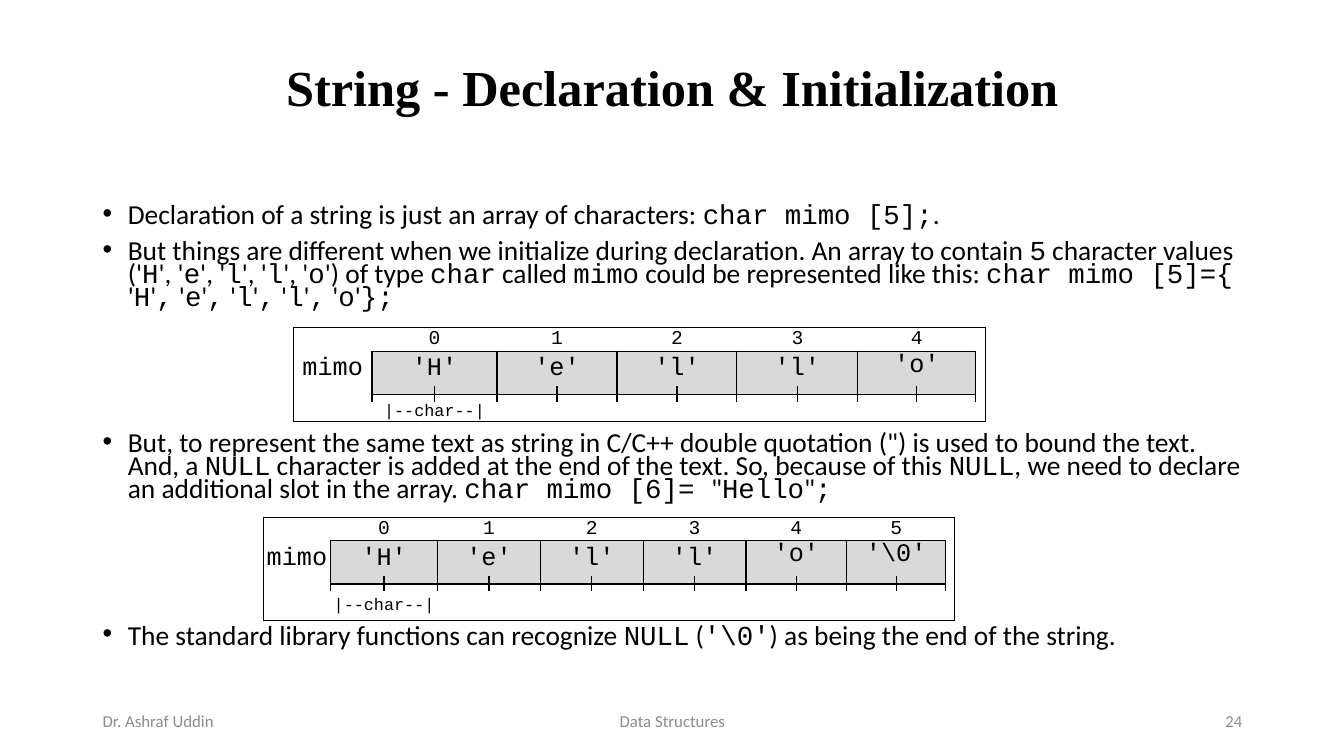
from lxml.etree import SubElement
from pptx import Presentation
from pptx.dml.color import RGBColor
from pptx.enum.text import MSO_ANCHOR, PP_ALIGN
from pptx.oxml import parse_xml
from pptx.oxml.ns import nsdecls, qn
from pptx.util import Inches, Pt

# Content: backticks enclose code
TITLE = "String - Declaration & Initialization"
BULLETS = [
    "Declaration of a string is just an array of characters: `char mimo [5];`.",
    "But things are different when we initialize during declaration. An array to contain `5` "
    "character values ('`H`', '`e`', '`l`', '`l`', '`o`') of type\u00a0`char`\u00a0called\u00a0"
    "`mimo`\u00a0could be represented like this: `char mimo [5]={ `'`H`'`,` '`e`'`,` '`l`'`,` "
    "'`l`'`,` '`o`'`};`",
    'But, to represent the same text as string in C/C++ double quotation (") is used to bound '
    "the text. And, a `NULL` character is added at the end of the text. So, because of this "
    '`NULL`, we need to declare an additional slot in the array. `char mimo [6]= `"`Hello`"`;`',
    "The standard library functions can recognize `NULL` (`'\\0'`) as being the end of the string.",
]
ARRAYS = [
    dict(at=(2.91, 3.25), chars=["H", "e", "l", "l", "o"], label=0.78, end=0.1,
         slots=[1.24, 1.19, 1.19, 1.2, 1.17], rows=[0.22, 0.35, 0.08, 0.07, 0.2]),
    dict(at=(2.61, 5.13), chars=["H", "e", "l", "l", "o", "\\0"], label=0.67, end=0.09,
         slots=[1.06, 1.02, 1.02, 1.02, 1.0, 0.98], rows=[0.22, 0.35, 0.08, 0.07, 0.29]),
]
FOOTER = [
    ("Dr. Ashraf Uddin", 0.92, 3, PP_ALIGN.LEFT),
    ("Data Structures", 4.42, 4.5, PP_ALIGN.CENTER),
    ("24", 9.42, 3, PP_ALIGN.RIGHT),
]
THEME = dict(
    ink="000000", slot="D9D9D9", muted="8C8C8C",
    title_font="Times New Roman", body_font="Calibri", code_font="Courier New",
    title=36, body=19.6, index=14, value=18, unit=12, footer=12,
    gap=9, table_gap=88,
)

prs = Presentation()
prs.slide_width, prs.slide_height = Inches(13.33), Inches(7.5)
s = prs.slides.add_slide(prs.slide_layouts[6])


def style(r, font, size, color="ink", bold=False):
    r.font.name, r.font.size, r.font.bold = THEME[font], Pt(THEME[size]), bold
    r.font.color.rgb = RGBColor.from_string(THEME[color])


def add_box(x, y, w, h, anchor=MSO_ANCHOR.MIDDLE):
    tf = s.shapes.add_textbox(Inches(x), Inches(y), Inches(w), Inches(h)).text_frame
    tf.word_wrap, tf.vertical_anchor = True, anchor
    return tf


def add_line(x, y, w, h, text, align, *look):
    p = add_box(x, y, w, h).paragraphs[0]
    p.text, p.alignment = text, align
    style(p.runs[0], *look)
    return p


def add_bullets(tf):
    for i, text in enumerate(BULLETS):
        p = tf.paragraphs[0] if i == 0 else tf.add_paragraph()
        p.line_spacing = 0.7
        # The last two bullets each follow an array table
        p.space_before = Pt(THEME["table_gap" if i >= 2 else "gap"])
        pPr = p._p.get_or_add_pPr()
        pPr.set("marL", str(Inches(0.25)))
        pPr.set("indent", str(Inches(-0.25)))
        SubElement(pPr, qn("a:buFont")).set("typeface", "Arial")
        SubElement(pPr, qn("a:buChar")).set("char", "\u2022")
        for j, part in enumerate(text.split("`")):
            if part:
                r = p.add_run()
                r.text = part
                style(r, "code_font" if j % 2 else "body_font", "body")


def set_borders(cell, edges):
    tcPr = cell._tc.get_or_add_tcPr()
    for i, (side, shown) in enumerate(edges.items()):
        paint = (f'<a:solidFill><a:srgbClr val="{THEME["ink"]}"/></a:solidFill>'
                 if shown else "<a:noFill/>")
        tcPr.insert(i, parse_xml(
            f'<a:ln{side} {nsdecls("a")} w="{Pt(1)}">{paint}</a:ln{side}>'))


def array_text(chars):
    """Map (row, column) to text and type size."""
    cells = {(1, 0): ("mimo", "value"), (4, 1): ("|--char--|", "unit")}
    for i, char in enumerate(chars):
        cells[0, 2 * i + 1] = (str(i), "index")
        cells[1, 2 * i + 1] = (f"'{char}'", "value")
    return cells


def add_array(at, chars, label, end, slots, rows):
    # Each slot is two columns, so that a tick can mark its middle
    cols = [label] + [w / 2 for w in slots for _ in range(2)] + [end]
    last = len(cols) - 1
    tbl = s.shapes.add_table(len(rows), len(cols), *map(Inches, at),
                             Inches(sum(cols)), Inches(sum(rows))).table
    tbl.first_row = tbl.horz_banding = False
    for col, w in zip(tbl.columns, cols):
        col.width = Inches(w)
    for row, h in zip(tbl.rows, rows):
        row.height = Inches(h)
    for r in (0, 1, 4):
        for c in range(1, last, 2):
            tbl.cell(r, c).merge(tbl.cell(r, c + 1))

    texts = array_text(chars)
    for r in range(len(rows)):
        for c in range(len(cols)):
            cell, inner = tbl.cell(r, c), 0 < c < last
            cell.margin_left = cell.margin_right = cell.margin_top = cell.margin_bottom = 0
            # Characters from index 4 on sit at the top of their slot
            raised = r == 1 and inner and c >= 9
            cell.vertical_anchor = MSO_ANCHOR.TOP if raised else MSO_ANCHOR.MIDDLE
            if inner and r in (1, 2):
                cell.fill.solid()
                cell.fill.fore_color.rgb = RGBColor.from_string(THEME["slot"])
            else:
                cell.fill.background()
            ticks = r in (2, 3)
            set_borders(cell, dict(
                L=c == 0 or ticks or (r == 1 and c % 2 == 1),
                R=c == last or ticks or (r == 1 and c % 2 == 0),
                T=r == 0 or (inner and r in (1, 3)),
                B=r == len(rows) - 1 or (inner and r in (0, 2)),
            ))
            p = cell.text_frame.paragraphs[0]
            if (r, c) in texts:
                p.text, size = texts[r, c]
                p.alignment = PP_ALIGN.CENTER
                style(p.runs[0], "code_font", size)
            else:
                # Tiny type keeps the empty tick rows thin
                p._p.get_or_add_endParaRPr().set("sz", "200")


# Title and bullets
title = add_line(0.92, 0.4, 11.5, 0.99, TITLE, PP_ALIGN.CENTER, "title_font", "title", "ink", True)
title.line_spacing = 0.9
add_bullets(add_box(0.92, 2, 11.5, 4.76, MSO_ANCHOR.TOP))

# Array tables
for array in ARRAYS:
    add_array(**array)

# Footer
for text, x, w, align in FOOTER:
    add_line(x, 6.95, w, 0.4, text, align, "body_font", "footer", "muted")

prs.save("out.pptx")
